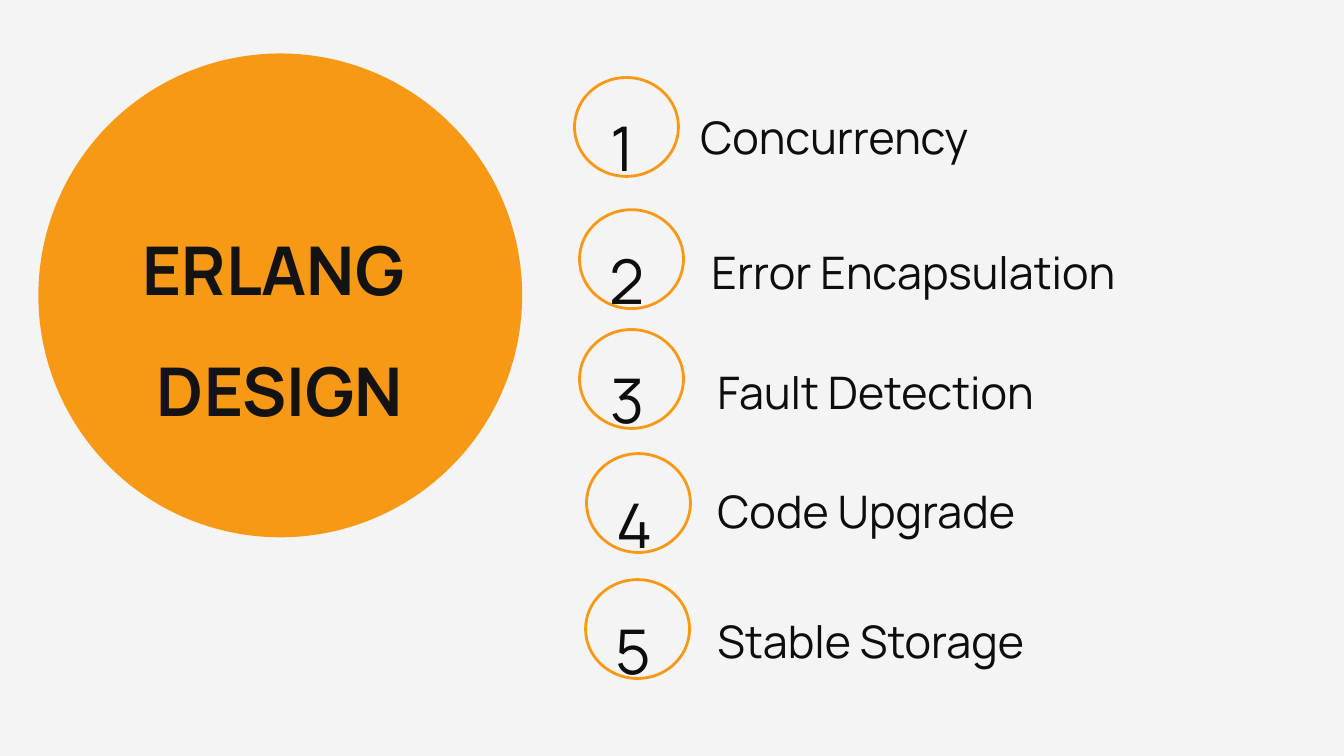
from dataclasses import dataclass

from pptx import Presentation
from pptx.dml.color import RGBColor
from pptx.enum.shapes import MSO_SHAPE
from pptx.enum.text import MSO_ANCHOR, MSO_AUTO_SIZE, PP_ALIGN
from pptx.util import Pt

OVAL = MSO_SHAPE.OVAL
TOP = MSO_ANCHOR.TOP
GROW = MSO_AUTO_SIZE.SHAPE_TO_FIT_TEXT
CENTER, JUSTIFY = PP_ALIGN.CENTER, PP_ALIGN.JUSTIFY

TITLE = ["ERLANG ", "DESIGN"]
PRINCIPLES = [
    ("Concurrency", (410.4, 55.4), (493.2, 55.4)),
    ("Error Encapsulation", (414, 149.8), (501.1, 151.9)),
    ("Fault Detection", (414, 235.4), (505.4, 237.6)),
    ("Code Upgrade", (419, 324), (505.4, 322.6)),
    ("Stable Storage", (418.3, 414), (505.4, 415.4)),
]


@dataclass(frozen=True)
class Theme:
    font: str = "Manrope"
    background: RGBColor = RGBColor(0xF4, 0xF4, 0xF4)
    accent: RGBColor = RGBColor(0xF8, 0x99, 0x15)
    title: RGBColor = RGBColor(0x13, 0x13, 0x13)
    text: RGBColor = RGBColor(0x0D, 0x0D, 0x0D)
    title_size: int = 48
    number_size: int = 44
    label_size: int = 32
    line_spacing: float = 1.5
    ring_width: int = 2


THEME = Theme()
SLIDE_SIZE = (960, 540)
DISC = (27.4, 38.2, 345.6, 345.6)
TITLE_BOX = (-43.2, 131, 486.7, 171.4)
RING_SIZE = (74.2, 70.6)
NUMBER_SHIFT = (3.6, -6.5)
NUMBER_SIZE = (61.2, 77.8)
LABEL_SIZE = (339.1, 58.3)


def points(values):
    return [Pt(value) for value in values]


def write(box, lines, *, size, color, align, bold=False):
    frame = box.text_frame
    frame.word_wrap = True
    frame.auto_size = GROW
    frame.vertical_anchor = TOP
    for index, line in enumerate(lines):
        para = frame.add_paragraph() if index else frame.paragraphs[0]
        para.alignment = align
        para.line_spacing = THEME.line_spacing
        para.space_before = Pt(0)
        span = para.add_run()
        span.text = line
        span.font.name = THEME.font
        span.font.size = Pt(size)
        span.font.bold = bold
        span.font.color.rgb = color


def add_oval(shapes, bounds, filled):
    oval = shapes.add_shape(OVAL, *points(bounds))
    oval.shadow.inherit = False
    if filled:
        oval.fill.solid()
        oval.fill.fore_color.rgb = THEME.accent
        oval.line.fill.background()
    else:
        oval.fill.background()
        oval.line.color.rgb = THEME.accent
        oval.line.width = Pt(THEME.ring_width)


def add_title(page):
    add_oval(page.shapes, DISC, filled=True)
    title = page.shapes.title
    title.left, title.top, title.width, title.height = points(TITLE_BOX)
    write(title, TITLE, size=THEME.title_size, color=THEME.title,
          align=CENTER, bold=True)
    tree = title.element.getparent()
    tree.remove(title.element)
    tree.append(title.element)


def add_principle(page, number, label, ring_at, label_at):
    badge = page.shapes.add_group_shape()
    add_oval(badge.shapes, ring_at + RING_SIZE, filled=False)
    number_at = [start + shift for start, shift in zip(ring_at, NUMBER_SHIFT)]
    number_box = badge.shapes.add_textbox(*points([*number_at, *NUMBER_SIZE]))
    write(number_box, [str(number)], size=THEME.number_size,
          color=THEME.text, align=CENTER)
    label_box = page.shapes.add_textbox(*points(label_at + LABEL_SIZE))
    write(label_box, [label], size=THEME.label_size,
          color=THEME.text, align=JUSTIFY)


def main():
    deck = Presentation()
    deck.slide_width, deck.slide_height = points(SLIDE_SIZE)
    page = deck.slides.add_slide(deck.slide_layouts[5])
    page.background.fill.solid()
    page.background.fill.fore_color.rgb = THEME.background
    add_title(page)
    for number, principle in enumerate(PRINCIPLES, start=1):
        add_principle(page, number, *principle)
    deck.save("out.pptx")


if __name__ == "__main__":
    main()
